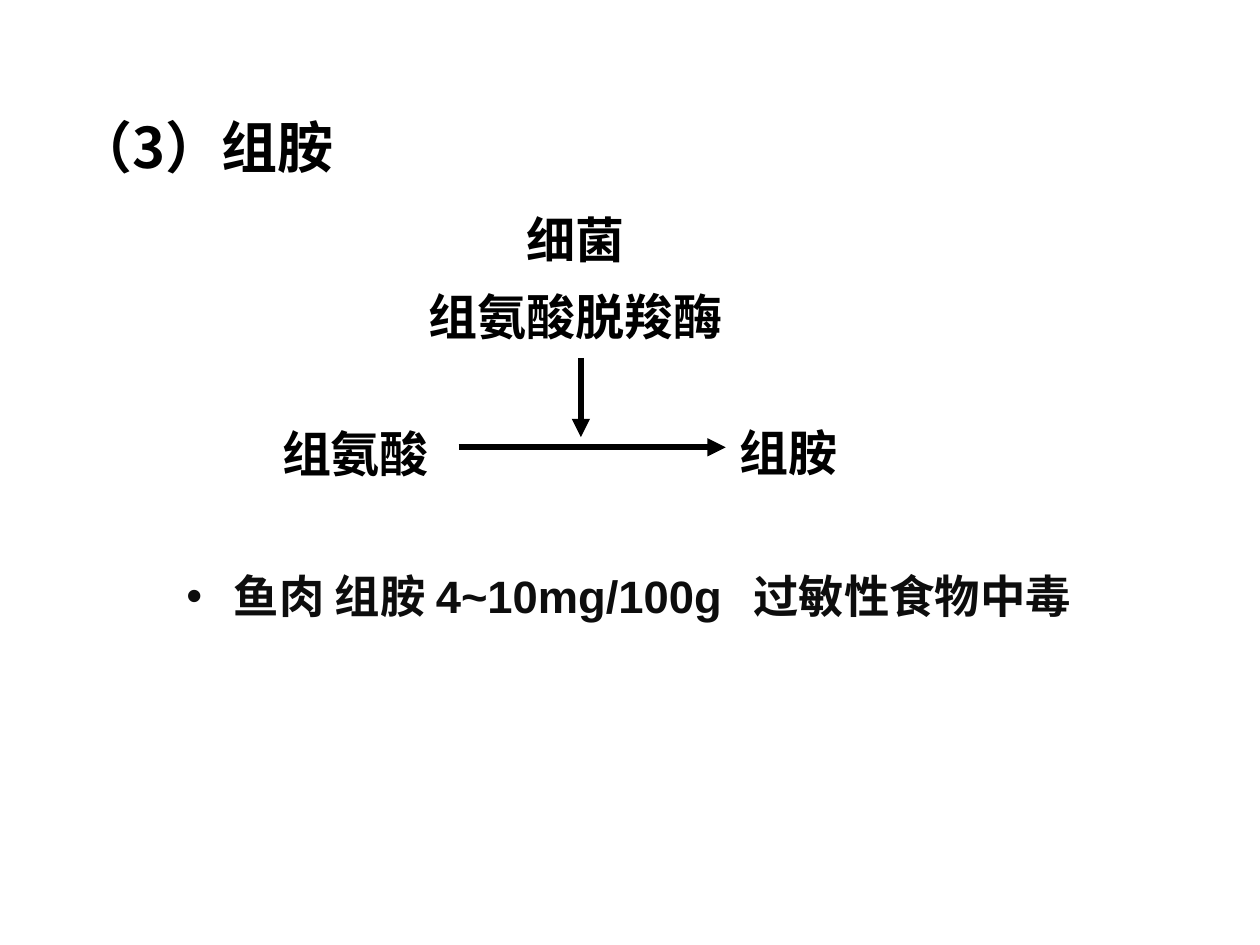
"""Build the histamine formation slide."""
from lxml.etree import SubElement
from pptx import Presentation
from pptx.dml.color import RGBColor
from pptx.enum.shapes import MSO_CONNECTOR
from pptx.enum.text import MSO_ANCHOR as Anchor, PP_ALIGN as Align
from pptx.oxml.ns import qn
from pptx.util import Inches, Pt

COLORS = {"ink": "000000", "body": "0D0D0D"}
CJK = "Noto Sans CJK SC"
TITLE = "（3）组胺"
FINDING = "鱼肉 组胺 4~10mg/100g\t过敏性食物中毒"
LABELS = [
    (["细菌", "组氨酸脱羧酶"], (2.8, 1.47, 3.54, 1.32), Align.CENTER, 1.3),
    (["组氨酸"], (2.14, 3.31, 1.5, 0.57), Align.LEFT, 1),
    (["组胺"], (5.77, 3.3, 1.17, 0.57), Align.LEFT, 1),
]
ARROWS = [(4.61, 2.84, 4.61, 3.47), (3.64, 3.55, 5.76, 3.55)]


def place(shape, bounds):
    shape.left, shape.top, shape.width, shape.height = map(Inches, bounds)


def write(shape, lines, size, name, color, align, spacing, anchor):
    frame = shape.text_frame
    frame.word_wrap = True
    frame.vertical_anchor = anchor
    frame.text = "\n".join(lines)
    for para in frame.paragraphs:
        para.alignment = align
        para.line_spacing = spacing
        para.space_before = Pt(0)
        font = para.font
        font.size, font.bold, font.name = Pt(size), True, name
        font.color.rgb = RGBColor.from_string(COLORS[color])
        for span in para.runs:
            properties = span._r.get_or_add_rPr()
            SubElement(properties, qn("a:ea"), typeface=CJK)


def add_bullet(para, indent, tab):
    properties = para._p.get_or_add_pPr()
    properties.set("marL", str(Inches(indent)))
    properties.set("indent", str(Inches(-indent)))
    SubElement(properties, qn("a:buChar"), char="•")
    tabs = SubElement(properties, qn("a:tabLst"))
    SubElement(tabs, qn("a:tab"), pos=str(Inches(tab)), algn="l")


def add_arrow(page, ends):
    arrow = page.shapes.add_connector(MSO_CONNECTOR.STRAIGHT, *map(Inches, ends))
    arrow.line.width = Pt(3.5)
    arrow.line.color.rgb = RGBColor.from_string(COLORS["ink"])
    SubElement(arrow.line._get_or_add_ln(), qn("a:tailEnd"), type="triangle")
    SubElement(arrow._element.spPr, qn("a:effectLst"))


def main():
    deck = Presentation()
    deck.slide_width, deck.slide_height = Inches(10), Inches(7.5)
    page = deck.slides.add_slide(deck.slide_layouts[1])
    title, body = page.placeholders

    place(title, (0.51, 0.76, 2.53, 0.72))
    write(title, [TITLE], 32, CJK, "ink", Align.LEFT, 1.15, Anchor.MIDDLE)

    place(body, (1.38, 4.46, 7.95, 0.94))
    add_bullet(body.text_frame.paragraphs[0], 0.38, 4.72)
    write(body, [FINDING], 25.9, "Arial", "body", Align.LEFT, 1, Anchor.TOP)

    for lines, bounds, align, spacing in LABELS:
        box = page.shapes.add_textbox(*map(Inches, bounds))
        write(box, lines, 28, CJK, "ink", align, spacing, Anchor.MIDDLE)
    for ends in ARROWS:
        add_arrow(page, ends)
    deck.save("out.pptx")


if __name__ == "__main__":
    main()
